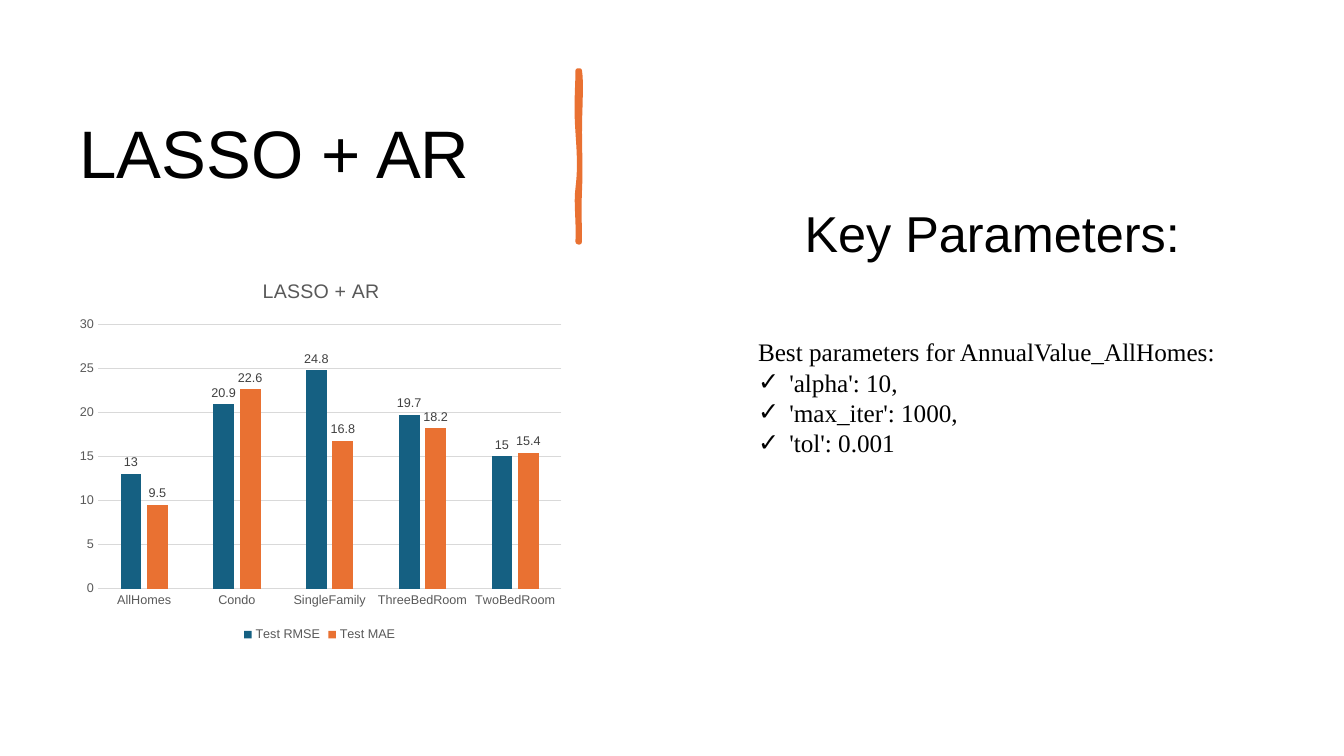
from lxml import etree
from pptx import Presentation
from pptx.chart.data import CategoryChartData
from pptx.dml.color import RGBColor
from pptx.enum.chart import XL_CHART_TYPE as ChartType
from pptx.enum.chart import XL_LABEL_POSITION as LabelPosition
from pptx.enum.chart import XL_LEGEND_POSITION as LegendPosition
from pptx.enum.chart import XL_TICK_MARK as TickMark
from pptx.enum.text import MSO_ANCHOR as Anchor
from pptx.oxml import parse_xml
from pptx.oxml.ns import nsdecls, qn
from pptx.util import Inches, Pt

BLACK = RGBColor(0x00, 0x00, 0x00)
BLUE = RGBColor(0x15, 0x60, 0x82)
ORANGE = RGBColor(0xE9, 0x71, 0x32)
GRAY = RGBColor(0x59, 0x59, 0x59)
DARK_GRAY = RGBColor(0x40, 0x40, 0x40)
LIGHT_GRAY = RGBColor(0xD9, 0xD9, 0xD9)

# Content
TITLE = "LASSO + AR"
HEADING = "Key Parameters:"
INTRO = "Best parameters for AnnualValue_AllHomes:"
PARAMETERS = ["'alpha': 10,", "'max_iter': 1000,", "'tol': 0.001"]
HOMES = ["AllHomes", "Condo", "SingleFamily", "ThreeBedRoom", "TwoBedRoom"]
ERRORS = [
    ("Test RMSE", [13, 20.9, 24.8, 19.7, 15], BLUE),
    ("Test MAE", [9.5, 22.6, 16.8, 18.2, 15.4], ORANGE),
]

# Brush stroke: a start point, then cubic curves (two controls and an end)
STROKE_START = (5.75, 0.7)
STROKE_CURVES = [
    ((5.77, 0.83), (5.75, 1.08), (5.75, 1.31)),
    ((5.75, 1.53), (5.76, 1.65), (5.75, 1.89)),
    ((5.74, 2.13), (5.75, 2.2), (5.75, 2.4)),
    ((5.74, 2.41), (5.74, 2.4), (5.73, 2.4)),
    ((5.74, 2.17), (5.71, 2.03), (5.73, 1.87)),
    ((5.75, 1.71), (5.75, 1.58), (5.73, 1.31)),
    ((5.71, 1.03), (5.73, 0.88), (5.73, 0.7)),
]
CURVE_STEPS = 8

# Formats
TITLE_FONT = {"name": "Arial", "size": Pt(48)}
HEADING_FONT = {"name": "Arial", "size": Pt(36)}
BODY_FONT = {"name": "Times New Roman", "size": Pt(18)}
CHART_TITLE_FONT = {"name": "Arial", "size": Pt(14), "bold": False}
CHART_FONT = {"name": "Arial", "size": Pt(9)}


def style(font, values, color=BLACK):
    for name, value in values.items():
        setattr(font, name, value)
    font.color.rgb = color


def add_text(page, place, lines, values, **frame_values):
    box = page.shapes.add_textbox(*map(Inches, place))
    frame = box.text_frame
    frame.word_wrap = True
    for name, value in frame_values.items():
        setattr(frame, name, value)
    frame.text = "\n".join(lines)
    for para in frame.paragraphs:
        for span in para.runs:
            style(span.font, values)
    return frame


def add_check(para):
    props = para._p.get_or_add_pPr()
    props.set("marL", str(Inches(0.31)))
    props.set("indent", str(-Inches(0.31)))
    color = etree.SubElement(props, qn("a:buClr"))
    etree.SubElement(color, qn("a:srgbClr"), val=str(BLACK))
    etree.SubElement(props, qn("a:buFont"), typeface="Arial")
    etree.SubElement(props, qn("a:buChar"), char="✓")


def curve_points(start, curves):
    points = []
    for first, second, end in curves:
        for step in range(1, CURVE_STEPS + 1):
            t = step / CURVE_STEPS
            weights = ((1 - t) ** 3, 3 * t * (1 - t) ** 2, 3 * t * t * (1 - t), t ** 3)
            knots = (start, first, second, end)
            points.append(tuple(Inches(sum(w * k[axis] for w, k in zip(weights, knots)))
                                for axis in (0, 1)))
        start = end
    return points


def add_stroke(page):
    builder = page.shapes.build_freeform(*map(Inches, STROKE_START))
    builder.add_line_segments(curve_points(STROKE_START, STROKE_CURVES), close=True)
    stroke = builder.convert_to_shape()
    stroke.shadow.inherit = False
    stroke.fill.solid()
    stroke.fill.fore_color.rgb = ORANGE
    stroke.line.color.rgb = ORANGE
    stroke.line.width = Pt(3.25)


def set_layout(parent, after, **fractions):
    """Fix a chart part by fractions of the chart frame."""
    for old in parent.findall(qn("c:layout")):
        parent.remove(old)
    modes = {"xMode": "edge", "yMode": "edge"}
    target = '<c:layoutTarget val="inner"/>' if "w" in fractions else ""
    parts = "".join(f'<c:{name} val="{value}"/>'
                    for name, value in {**modes, **fractions}.items())
    layout = parse_xml(f'<c:layout {nsdecls("c")}><c:manualLayout>{target}{parts}'
                       "</c:manualLayout></c:layout>")
    parent.insert(after, layout)


def add_error_chart(page, place):
    data = CategoryChartData()
    data.categories = HOMES
    for name, values, _ in ERRORS:
        data.add_series(name, values)
    chart = page.shapes.add_chart(
        ChartType.COLUMN_CLUSTERED, *map(Inches, place), data).chart
    style(chart.font, CHART_FONT, GRAY)

    # Chart title and legend
    chart.has_title = True
    chart.chart_title.text_frame.text = TITLE
    style(chart.chart_title.text_frame.paragraphs[0].runs[0].font,
          CHART_TITLE_FONT, GRAY)
    chart.chart_title.include_in_layout = False
    set_layout(chart.chart_title._element, 1, x=0.38, y=0.03)
    chart.has_legend = True
    chart.legend.position = LegendPosition.BOTTOM
    chart.legend.include_in_layout = False
    style(chart.legend.font, CHART_FONT, GRAY)

    # Axes
    for axis in (chart.category_axis, chart.value_axis):
        axis.major_tick_mark = axis.minor_tick_mark = TickMark.NONE
        style(axis.tick_labels.font, CHART_FONT, GRAY)
    scale = chart.value_axis
    scale.minimum_scale, scale.maximum_scale, scale.major_unit = 0, 30, 5
    scale.format.line.fill.background()
    for line in (chart.category_axis.format.line, scale.major_gridlines.format.line):
        line.color.rgb = LIGHT_GRAY
        line.width = Pt(0.75)

    # Columns
    plot = chart.plots[0]
    plot.gap_width, plot.overlap, plot.vary_by_categories = 219, -27, False
    for series, (_, _, color) in zip(plot.series, ERRORS):
        series.format.fill.solid()
        series.format.fill.fore_color.rgb = color
        labels = series.data_labels
        labels.show_value = True
        labels.position = LabelPosition.OUTSIDE_END
        style(labels.font, CHART_FONT, DARK_GRAY)
    plot_area = chart._chartSpace.find(".//" + qn("c:plotArea"))
    set_layout(plot_area, 0, x=0.06, y=0.16, w=0.92, h=0.69)


def main():
    deck = Presentation()
    deck.slide_width, deck.slide_height = Inches(13.33), Inches(7.5)
    page = deck.slides.add_slide(deck.slide_layouts[6])

    # Title and brush stroke
    title = add_text(page, (0.69, 0.5, 5.69, 2.11), [TITLE], TITLE_FONT,
                     vertical_anchor=Anchor.MIDDLE)
    title.paragraphs[0].line_spacing = 0.9
    add_stroke(page)

    # Parameters
    details = add_text(page, (7.42, 3.29, 5.24, 1.31), [INTRO, *PARAMETERS], BODY_FONT)
    for para in details.paragraphs[1:]:
        add_check(para)
    add_text(page, (7.98, 2, 4.72, 0.71), [HEADING], HEADING_FONT,
             margin_left=0, margin_top=0, margin_right=0, margin_bottom=0)

    add_error_chart(page, (0.67, 2.61, 5, 3.8))
    deck.save("out.pptx")


if __name__ == "__main__":
    main()
